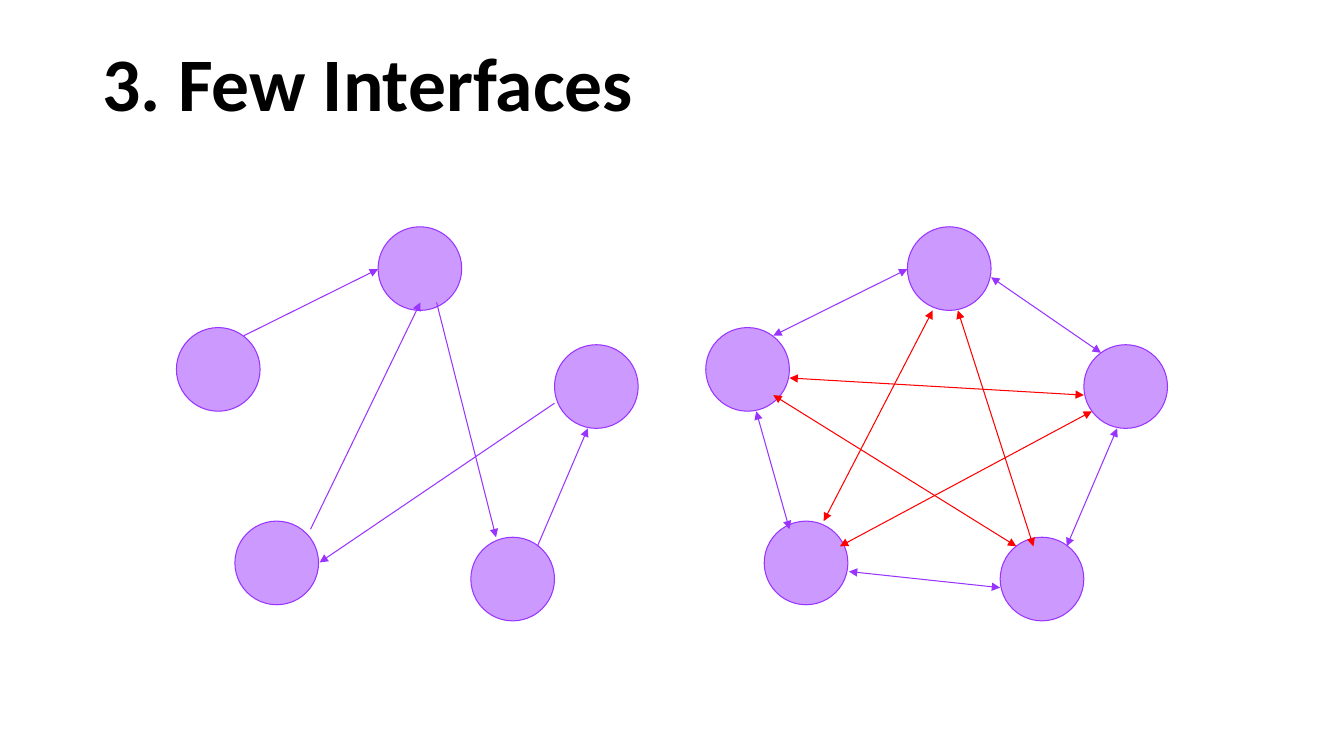
import pptx
import pptx.util
import pptx.dml.color
import pptx.enum.shapes
import pptx.enum.text
import pptx.oxml.ns
from lxml import etree

Inches = pptx.util.Inches
COLORS = {"text": "000000", "node": "CC99FF", "edge": "9933FF", "extra": "FF0000"}


def color(name):
    return pptx.dml.color.RGBColor.from_string(COLORS[name])


def write(frame, text, size=18, font="Calibri", bold=False, ink="text", space=1.0):
    par = frame.paragraphs[0]
    par.line_spacing = space
    run = par.add_run()
    run.text = text
    run.font.size = pptx.util.Pt(size)
    run.font.name = font
    run.font.bold = bold
    run.font.color.rgb = color(ink)


class Board:
    def __init__(self, slide, size, width):
        self.slide = slide
        self.size = Inches(size)
        self.width = pptx.util.Pt(width)

    def title(self, text, left, top, width, height):
        box = self.slide.shapes.add_textbox(
            Inches(left), Inches(top), Inches(width), Inches(height))
        frame = box.text_frame
        frame.word_wrap = True
        frame.vertical_anchor = pptx.enum.text.MSO_ANCHOR.MIDDLE
        write(frame, text, size=54, bold=True, space=0.9)

    def node(self, left, top):
        shape = self.slide.shapes.add_shape(
            pptx.enum.shapes.MSO_SHAPE.OVAL,
            Inches(left), Inches(top), self.size, self.size)
        shape.shadow.inherit = False
        shape.fill.solid()
        shape.fill.fore_color.rgb = color("node")
        shape.line.color.rgb = color("edge")
        shape.line.width = self.width

    def arrow(self, start, end, ink="edge", both=False):
        link = self.slide.shapes.add_connector(
            pptx.enum.shapes.MSO_CONNECTOR.STRAIGHT,
            *[Inches(value) for value in (*start, *end)])
        link.line.color.rgb = color(ink)
        link.line.width = self.width
        name = pptx.oxml.ns.qn
        line = link.line._get_or_add_ln()
        for tag in ("a:headEnd", "a:tailEnd") if both else ("a:tailEnd",):
            etree.SubElement(line, name(tag), type="triangle")
        etree.SubElement(link._element.spPr, name("a:effectLst"))


NODES = [(1.75, 3.25), (2.33, 5.17), (3.75, 2.25), (5.5, 3.42), (4.67, 5.33)]
SHIFT = 5.25
FEW = [
    ((5.5, 4), (3.17, 5.58)),
    ((3.08, 5.25), (4.17, 3)),
    ((5.33, 5.42), (5.83, 4.25)),
    ((2.42, 3.33), (3.75, 2.67)),
    ((4.33, 3), (4.92, 5.33)),
]
MANY = {
    "edge": [
        ((7.5, 4.08), (7.83, 5.25)),
        ((8.42, 5.67), (9.92, 5.83)),
        ((10.58, 5.42), (11.08, 4.25)),
        ((7.67, 3.33), (9, 2.67)),
        ((9.83, 2.75), (10.92, 3.5)),
    ],
    "extra": [
        ((7.83, 3.75), (10.75, 3.92)),
        ((7.67, 3.92), (10.08, 5.42)),
        ((9.25, 3.08), (8.17, 5.17)),
        ((9.5, 3.08), (10.25, 5.42)),
        ((8.33, 5.42), (10.83, 4.08)),
    ],
}

deck = pptx.Presentation()
deck.slide_width = Inches(13.33)
deck.slide_height = Inches(7.5)
board = Board(deck.slides.add_slide(deck.slide_layouts[6]), size=0.83, width=0.75)

board.title("3. Few Interfaces", 0.92, 0.4, 11.5, 0.93)
for shift in (SHIFT, 0):
    for left, top in NODES:
        board.node(left + shift, top)
for ink, links in MANY.items():
    for start, end in links:
        board.arrow(start, end, ink=ink, both=True)
for start, end in FEW:
    board.arrow(start, end)

deck.save("out.pptx")
